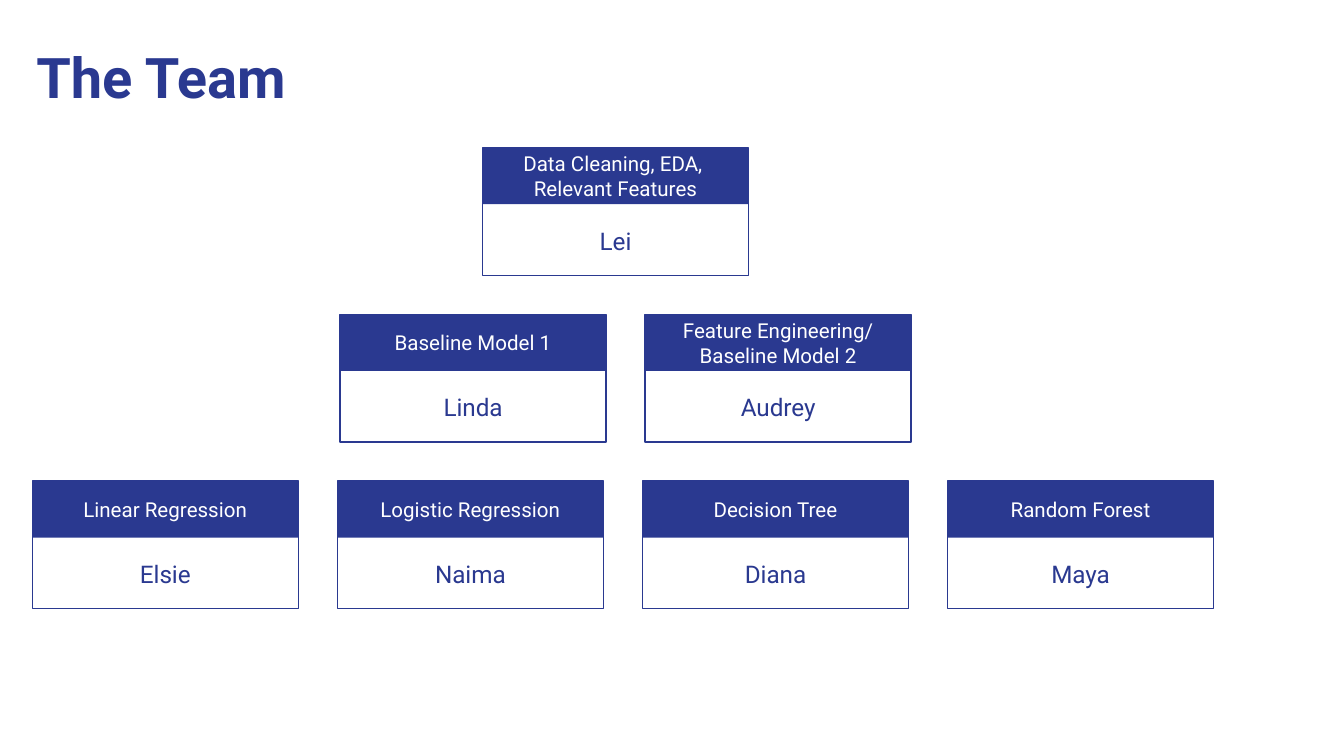
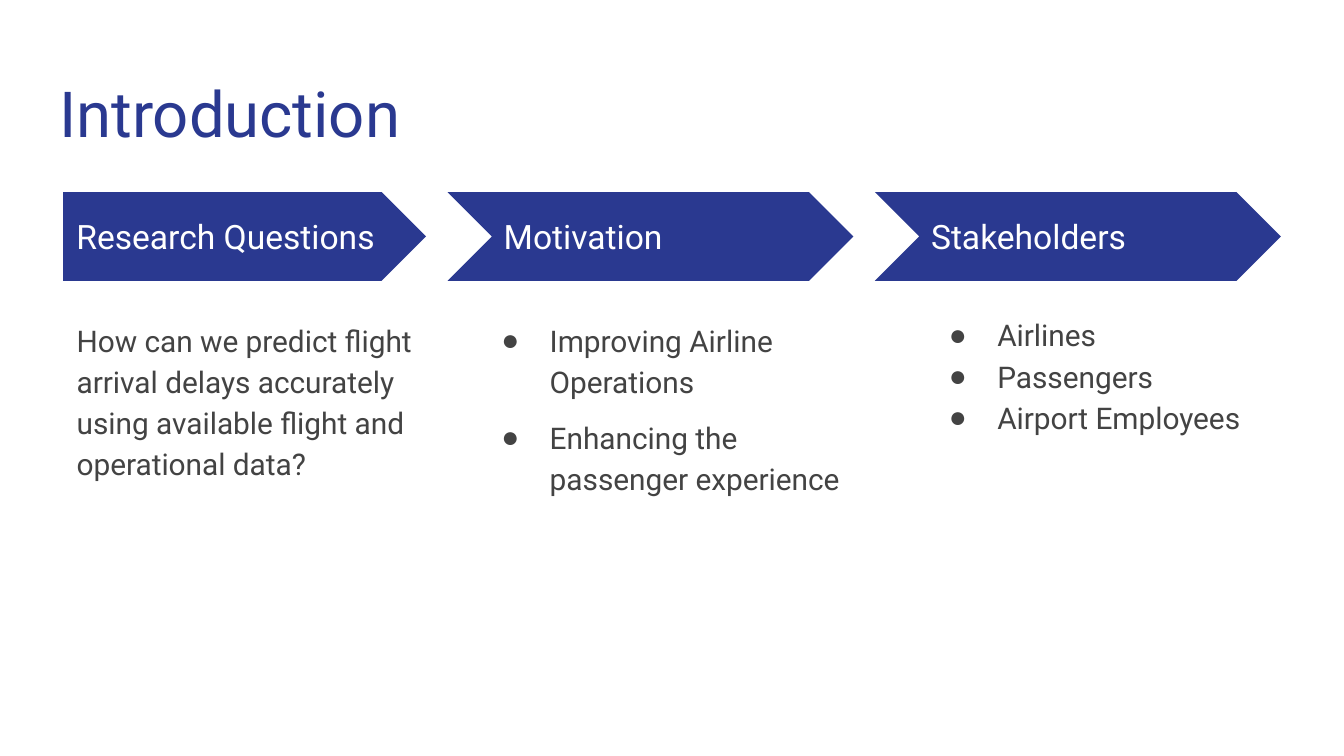
from lxml import etree
from pptx import Presentation
from pptx.dml.color import RGBColor
from pptx.enum import shapes, text
from pptx.oxml import ns
from pptx.util import Inches, Pt

NAVY = RGBColor(0x2A, 0x39, 0x90)
GRAY = RGBColor(0x43, 0x43, 0x43)
WHITE = RGBColor(0xFF, 0xFF, 0xFF)
FONT = "Roboto"
INSET = 0.1
SLIDE_WIDTH = Inches(10)
SLIDE_HEIGHT = SLIDE_WIDTH * 9 // 16

TITLE_ONLY_LAYOUT = 5
COMPARISON_LAYOUT = 4

CARD_WIDTH, CARD_HEIGHT, CARD_HEADER_HEIGHT = 1.98, 0.95, 0.42
CARD_PITCH, ROW_PITCH = 2.27, 1.24
FIRST_ROW_TOP = 1.1
# Each row: left edge, then (task lines, name) for every card
TEAM_ROWS = [
    (3.59, [(["Data Cleaning, EDA, ", "Relevant Features"], "Lei")]),
    (2.53, [(["Baseline Model 1"], "Linda"),
            (["Feature Engineering/", "Baseline Model 2"], "Audrey")]),
    (0.24, [(["Linear Regression"], "Elsie"),
            (["Logistic Regression"], "Naima"),
            (["Decision Tree"], "Diana"),
            (["Random Forest"], "Maya")]),
]

ARROW_TOP, ARROW_HEIGHT = 1.43, 0.66
COLUMN_LEFT, COLUMN_PITCH = 0.47, 3.18
FIRST_ARROW_RIGHT = 3.17
PENTAGON = shapes.MSO_SHAPE.PENTAGON
CHEVRON = shapes.MSO_SHAPE.CHEVRON
# Heading, arrow shape, arrow width, placeholder index, body box, bulleted, gap in points, items
TOPICS = [
    ("Research Questions", PENTAGON, 2.7, 1, (0.47, 2.26, 2.7, 2.9), False, 0,
     ["How can we predict flight arrival delays accurately "
      "using available flight and operational data?"]),
    ("Motivation", CHEVRON, 3.02, 2, (3.49, 2.26, 3.02, 2.9), True, 8,
     ["Improving Airline Operations", "Enhancing the passenger experience"]),
    ("Stakeholders", CHEVRON, 3.02, 4, (6.82, 2.22, 2.7, 2.9), True, 0,
     ["Airlines", "Passengers", "Airport Employees"]),
]


def place(shape, left, top, width, height):
    shape.left, shape.top = Inches(left), Inches(top)
    shape.width, shape.height = Inches(width), Inches(height)


def set_frame(frame, anchor):
    frame.word_wrap = True
    frame.auto_size = text.MSO_AUTO_SIZE.NONE
    frame.vertical_anchor = anchor
    frame.margin_left = frame.margin_right = Inches(INSET)
    frame.margin_top = frame.margin_bottom = Inches(INSET)


def add_run(paragraph, words, size, color, bold=False):
    run = paragraph.add_run()
    run.text = words
    run.font.name = FONT
    run.font.size = Pt(size)
    run.font.bold = bold
    run.font.color.rgb = color


def add_label(slide, box, lines, size, color, alignment):
    """Add a vertically centred text box with forced line breaks."""
    label = slide.shapes.add_textbox(*(Inches(length) for length in box))
    set_frame(label.text_frame, text.MSO_ANCHOR.MIDDLE)
    paragraph = label.text_frame.paragraphs[0]
    paragraph.alignment = alignment
    for index, line in enumerate(lines):
        if index:
            paragraph.add_line_break()
        add_run(paragraph, line, size, color)


def add_block(slide, kind, box, filled=True):
    """Add a navy shape, either filled or only outlined."""
    block = slide.shapes.add_shape(kind, *(Inches(length) for length in box))
    block.shadow.inherit = False
    if filled:
        block.fill.solid()
        block.fill.fore_color.rgb = NAVY
        block.line.fill.background()
    else:
        block.fill.background()
        block.line.color.rgb = NAVY
        block.line.width = Pt(0.75)
    return block


def set_title(slide, words, left, top, size, bold=False):
    title = slide.shapes.title
    place(title, left, top, 9.32, 0.66)
    set_frame(title.text_frame, text.MSO_ANCHOR.TOP)
    paragraph = title.text_frame.paragraphs[0]
    paragraph.alignment = text.PP_ALIGN.LEFT
    add_run(paragraph, words, size, NAVY, bold)


def add_bullet(paragraph):
    properties = paragraph._p.get_or_add_pPr()
    properties.set("marL", str(Inches(0.5)))
    properties.set("indent", str(Inches(-0.36)))
    color = etree.SubElement(properties, ns.qn("a:buClr"))
    etree.SubElement(color, ns.qn("a:srgbClr"), val=str(GRAY))
    etree.SubElement(properties, ns.qn("a:buChar"), char="●")


def fill_body(body, box, items, bulleted, gap):
    place(body, *box)
    frame = body.text_frame
    set_frame(frame, text.MSO_ANCHOR.TOP)
    for index, item in enumerate(items):
        paragraph = frame.add_paragraph() if index else frame.paragraphs[0]
        paragraph.alignment = text.PP_ALIGN.LEFT
        paragraph.line_spacing = 1.15
        paragraph.space_before = Pt(gap if index else 0)
        paragraph.space_after = Pt(0)
        if bulleted:
            add_bullet(paragraph)
        add_run(paragraph, item, 16, GRAY)


def add_card(slide, left, top, task_lines, name):
    rectangle = shapes.MSO_SHAPE.RECTANGLE
    center = text.PP_ALIGN.CENTER
    add_block(slide, rectangle, (left, top, CARD_WIDTH, CARD_HEIGHT), filled=False)
    add_block(slide, rectangle, (left, top, CARD_WIDTH, CARD_HEADER_HEIGHT))
    add_label(slide, (left, top + 0.08, CARD_WIDTH, 0.26), task_lines, 11, WHITE, center)
    add_label(slide, (left, top + 0.56, CARD_WIDTH, 0.26), [name], 13, NAVY, center)


def add_arrow(slide, column, kind, width, heading):
    right = FIRST_ARROW_RIGHT + column * COLUMN_PITCH
    arrow = add_block(slide, kind, (right - width, ARROW_TOP, width, ARROW_HEIGHT))
    arrow.adjustments[0] = 0.5
    heading_left = COLUMN_LEFT + column * COLUMN_PITCH
    add_label(slide, (heading_left, ARROW_TOP + 0.16, 2.47, 0.34), [heading],
              18, WHITE, text.PP_ALIGN.LEFT)


def add_team_slide(presentation):
    slide = presentation.slides.add_slide(presentation.slide_layouts[TITLE_ONLY_LAYOUT])
    set_title(slide, "The Team", 0.17, 0.22, 30, bold=True)
    for row, (row_left, members) in enumerate(TEAM_ROWS):
        for column, (task_lines, name) in enumerate(members):
            add_card(slide, row_left + column * CARD_PITCH,
                     FIRST_ROW_TOP + row * ROW_PITCH, task_lines, name)


def add_introduction_slide(presentation):
    slide = presentation.slides.add_slide(presentation.slide_layouts[COMPARISON_LAYOUT])
    set_title(slide, "Introduction", 0.34, 0.45, 34)
    bodies = {shape.placeholder_format.idx: shape for shape in slide.placeholders}
    for column, topic in enumerate(TOPICS):
        heading, kind, width, body_index, box, bulleted, gap, items = topic
        add_arrow(slide, column, kind, width, heading)
        fill_body(bodies[body_index], box, items, bulleted, gap)
    unused = bodies[3].element
    unused.getparent().remove(unused)


def main():
    presentation = Presentation()
    presentation.slide_width = SLIDE_WIDTH
    presentation.slide_height = SLIDE_HEIGHT
    add_team_slide(presentation)
    add_introduction_slide(presentation)
    presentation.save("out.pptx")


if __name__ == "__main__":
    main()
